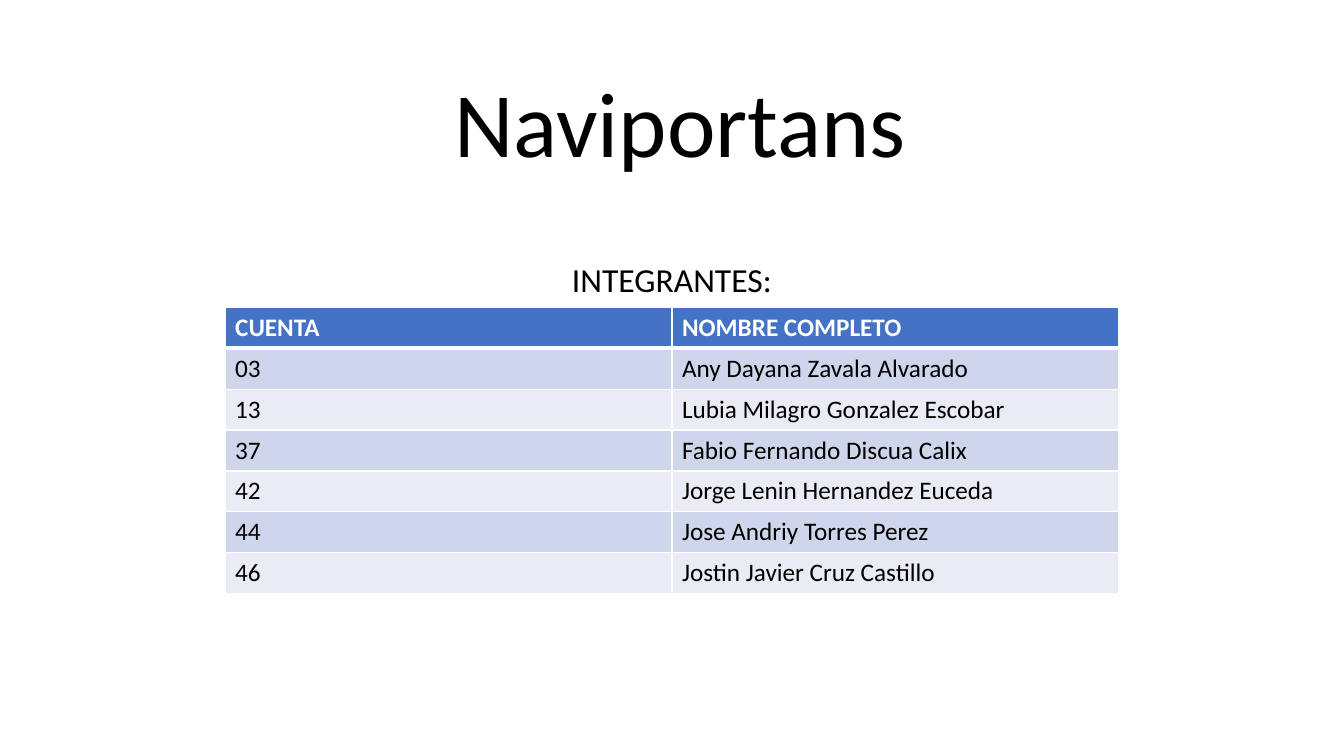
from dataclasses import dataclass

import pptx
import pptx.dml.color
import pptx.enum.text
import pptx.oxml
import pptx.oxml.ns
import pptx.util
from pptx.util import Pt


@dataclass(frozen=True)
class Theme:
    """Colours, font and type sizes of the slide."""
    font: str = "Calibri"
    text: str = "000000"
    white: str = "FFFFFF"
    header: str = "4472C4"
    bands: tuple = ("CFD5EA", "E9EBF5")
    title_size: float = 65.7
    subtitle_size: float = 24
    table_size: float = 18


THEME = Theme()

MEMBERS = [
    ("CUENTA", "NOMBRE COMPLETO"),
    ("03", "Any Dayana Zavala Alvarado"),
    ("13", "Lubia Milagro Gonzalez Escobar"),
    ("37", "Fabio Fernando Discua Calix"),
    ("42", "Jorge Lenin Hernandez Euceda"),
    ("44", "Jose Andriy Torres Perez"),
    ("46", "Jostin Javier Cruz Castillo"),
]


def rgb(value):
    """Return the colour for a hex value."""
    return pptx.dml.color.RGBColor.from_string(value)


def style_text(p, size, color, bold=False):
    """Format every run of a paragraph."""
    for r in p.runs:
        r.font.name = THEME.font
        r.font.size = Pt(size)
        r.font.bold = bold
        r.font.color.rgb = rgb(color)


def add_heading(s, text, left, top, width, height, size):
    """Add a centred line of text."""
    sp = s.shapes.add_textbox(Pt(left), Pt(top), Pt(width), Pt(height))
    tf = sp.text_frame
    tf.word_wrap = True
    tf.text = text
    p = tf.paragraphs[0]
    p.alignment = pptx.enum.text.PP_ALIGN.CENTER
    p.line_spacing = 0.9
    style_text(p, size, THEME.text)


def set_borders(cell, widths):
    """Draw white cell borders; widths maps a side (L, R, T, B) to points."""
    tc_pr = cell._tc.get_or_add_tcPr()
    for side, width in widths.items():
        tc_pr.append(pptx.oxml.parse_xml(
            f'<a:ln{side} {pptx.oxml.ns.nsdecls("a")} w="{Pt(width)}">'
            f'<a:solidFill><a:srgbClr val="{THEME.white}"/></a:solidFill>'
            f'</a:ln{side}>'))


def add_member_table(s, rows, left, top, col_width, row_height):
    """Add a banded table whose first row is the header."""
    n_cols = len(rows[0])
    table = s.shapes.add_table(
        len(rows), n_cols, Pt(left), Pt(top),
        Pt(col_width * n_cols), Pt(row_height * len(rows))).table
    for i, row in enumerate(rows):
        table.rows[i].height = Pt(row_height)
        is_header = i == 0
        fill = THEME.header if is_header else THEME.bands[(i - 1) % 2]
        color = THEME.white if is_header else THEME.text
        for j, value in enumerate(row):
            cell = table.cell(i, j)
            cell.text = value
            style_text(cell.text_frame.paragraphs[0], THEME.table_size,
                       color, is_header)
            set_borders(cell, {"L": 1, "R": 1, "T": 3 if i == 1 else 1,
                               "B": 3 if is_header else 1})
            cell.fill.solid()
            cell.fill.fore_color.rgb = rgb(fill)


def main():
    """Build the slide and save it."""
    prs = pptx.Presentation()
    prs.slide_width, prs.slide_height = Pt(960), Pt(540)
    s = prs.slides.add_slide(prs.slide_layouts[6])
    add_heading(s, "Naviportans", 172, 52.5, 628, 80, THEME.title_size)
    add_heading(s, "INTEGRANTES:", 120, 184.5, 720, 130, THEME.subtitle_size)
    add_member_table(s, MEMBERS, 160.8, 219.6, 319.2, 29.2)
    prs.save("out.pptx")


main()
